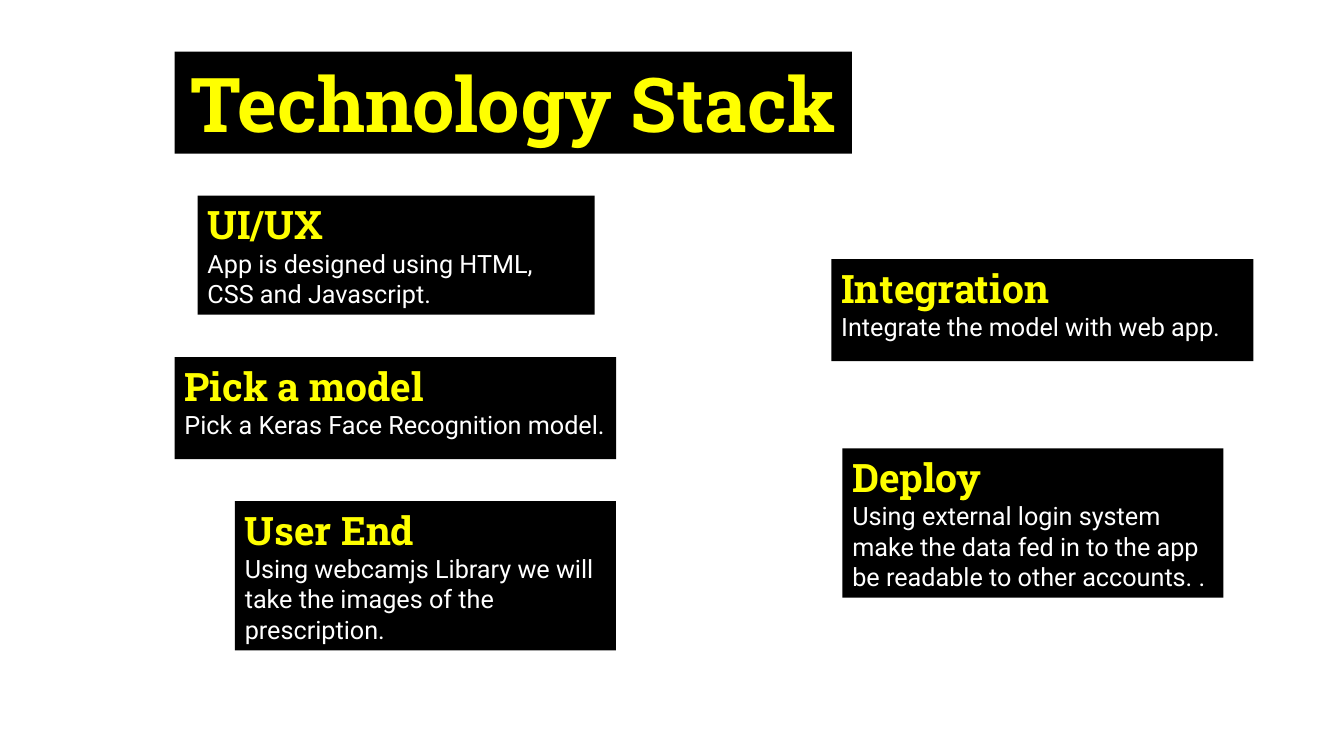
"""Build the Technology Stack slide: a title bar and five labelled cards."""
import pptx
import pptx.util
import pptx.dml.color
import pptx.enum.shapes
import pptx.enum.text

Cm, Pt = pptx.util.Cm, pptx.util.Pt
ALIGN = pptx.enum.text.PP_ALIGN
ANCHOR = pptx.enum.text.MSO_ANCHOR
COLORS = {"card": "000000", "heading": "FFFF00", "body": "FFFFFF", "page": "FFFFFF"}


def add_card(left, top, width, height, anchor):
    sp = s.shapes.add_shape(pptx.enum.shapes.MSO_SHAPE.RECTANGLE,
                            Cm(left), Cm(top), Cm(width), Cm(height))
    sp.shadow.inherit = False
    sp.fill.solid()
    sp.fill.fore_color.rgb = pptx.dml.color.RGBColor.from_string(COLORS["card"])
    sp.line.fill.background()
    tf = sp.text_frame
    tf.word_wrap = True
    tf.vertical_anchor = anchor
    tf.margin_left = tf.margin_right = Cm(0.25)
    tf.margin_top = tf.margin_bottom = Cm(0.13)
    return tf


def add_text(p, text, font, size, color, bold, align):
    p.alignment = align
    r = p.add_run()
    r.text = text
    r.font.name = font
    r.font.size = Pt(size)
    r.font.bold = bold
    r.font.color.rgb = pptx.dml.color.RGBColor.from_string(COLORS[color])


prs = pptx.Presentation()
prs.slide_width, prs.slide_height = Cm(33.87), Cm(19.05)
s = prs.slides.add_slide(prs.slide_layouts[6])
s.background.fill.solid()
s.background.fill.fore_color.rgb = pptx.dml.color.RGBColor.from_string(COLORS["page"])

tf = add_card(4.4, 1.3, 17.07, 2.57, ANCHOR.MIDDLE)
add_text(tf.paragraphs[0], "Technology Stack", "Roboto Slab", 54, "heading", True, ALIGN.CENTER)

cards = [
    ("UI/UX", "App is designed using HTML, CSS and Javascript.", 4.98, 4.93, 10.01, 3.0),
    ("Pick a model", "Pick a Keras Face Recognition model.", 4.4, 9.0, 11.13, 2.57),
    ("User End", "Using webcamjs Library we will take the images of the prescription.",
     5.92, 12.63, 9.6, 3.76),
    ("Integration", "Integrate the model with web app.", 20.95, 6.53, 10.64, 2.57),
    ("Deploy", "Using external login system make the data fed in to the app "
     "be readable to other accounts. .", 21.23, 11.3, 9.6, 3.76),
]
for heading, body, left, top, width, height in cards:
    tf = add_card(left, top, width, height, ANCHOR.TOP)
    add_text(tf.paragraphs[0], heading, "Roboto Slab", 28, "heading", True, ALIGN.LEFT)
    add_text(tf.add_paragraph(), body, "Roboto", 18, "body", False, ALIGN.LEFT)

prs.save("out.pptx")
